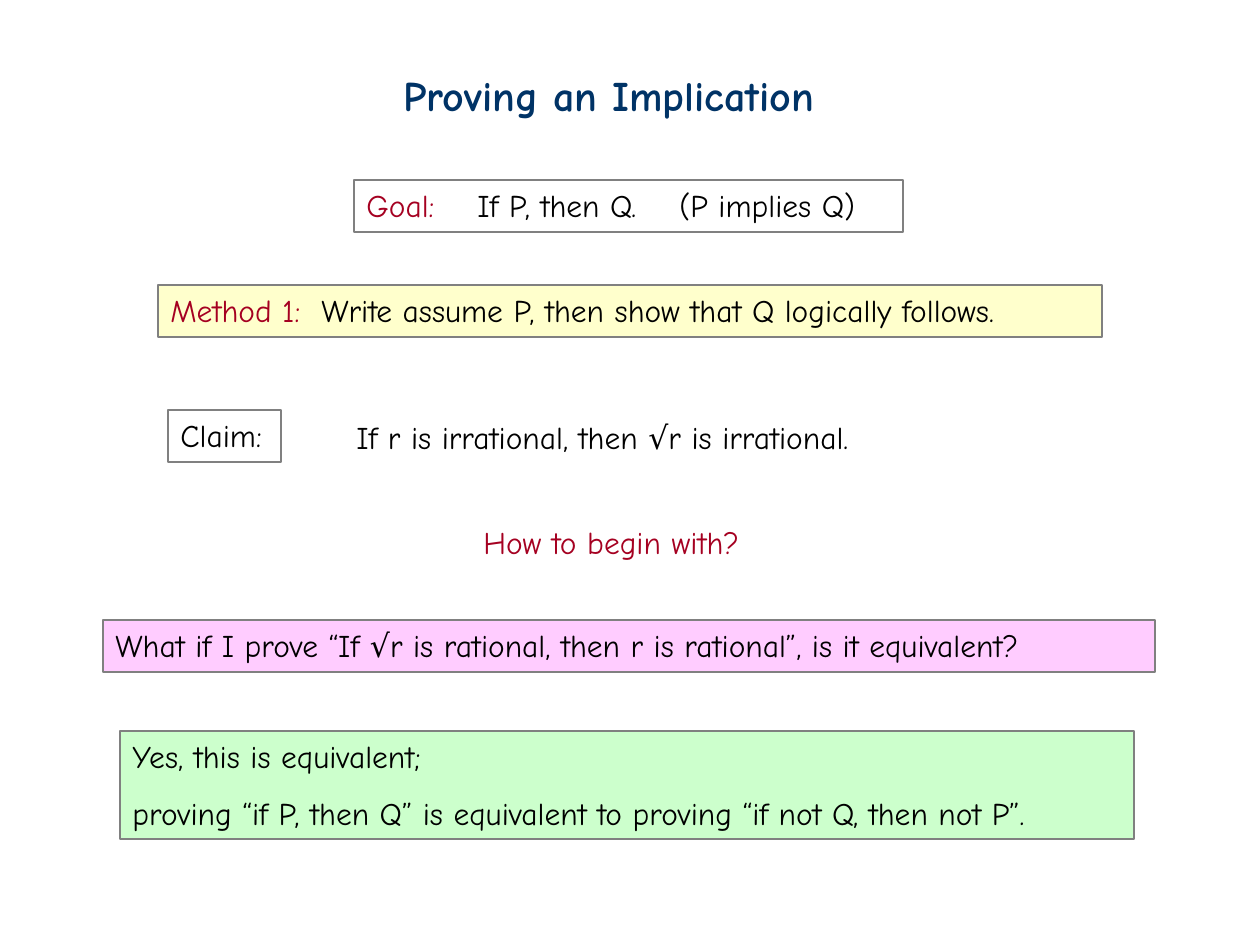
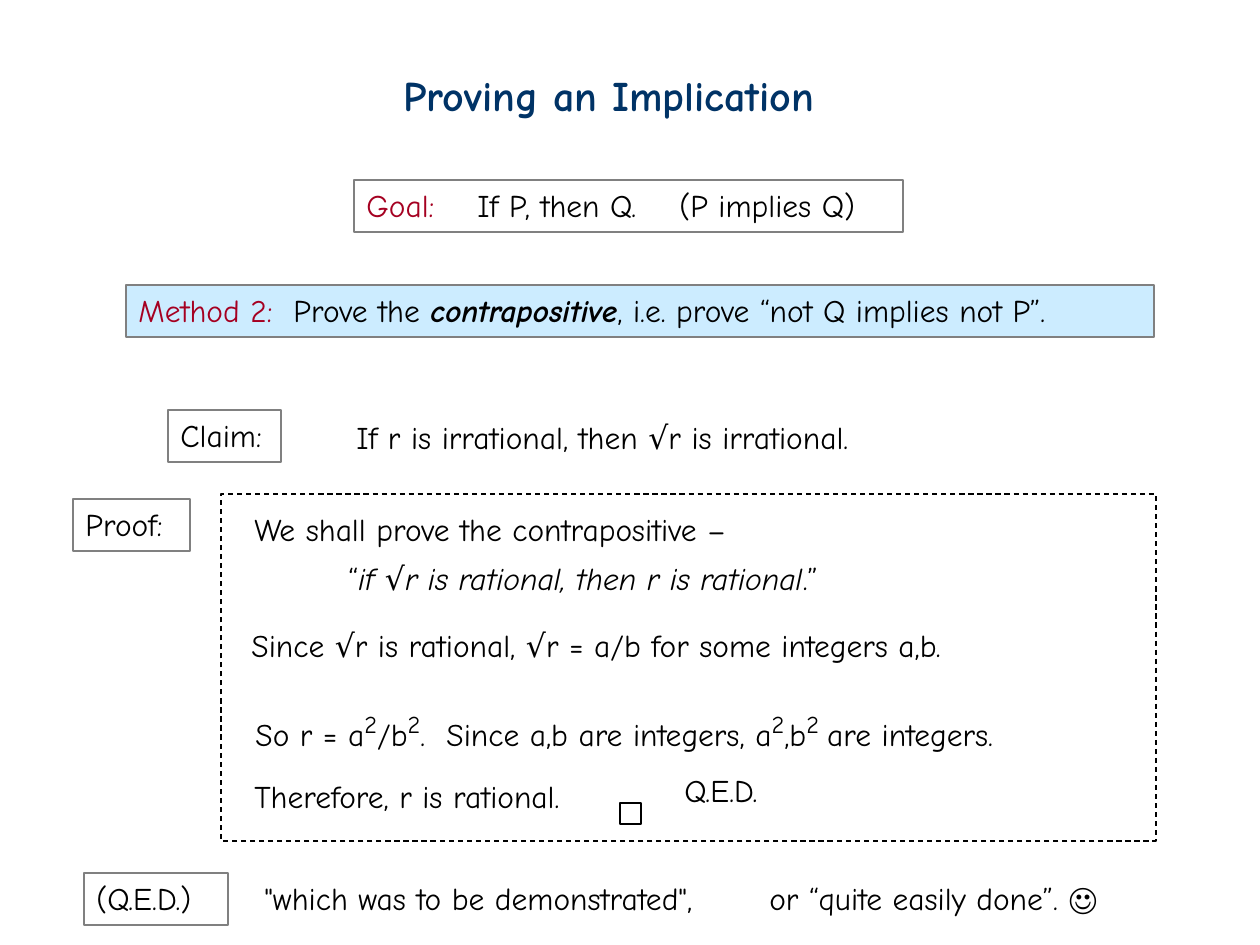
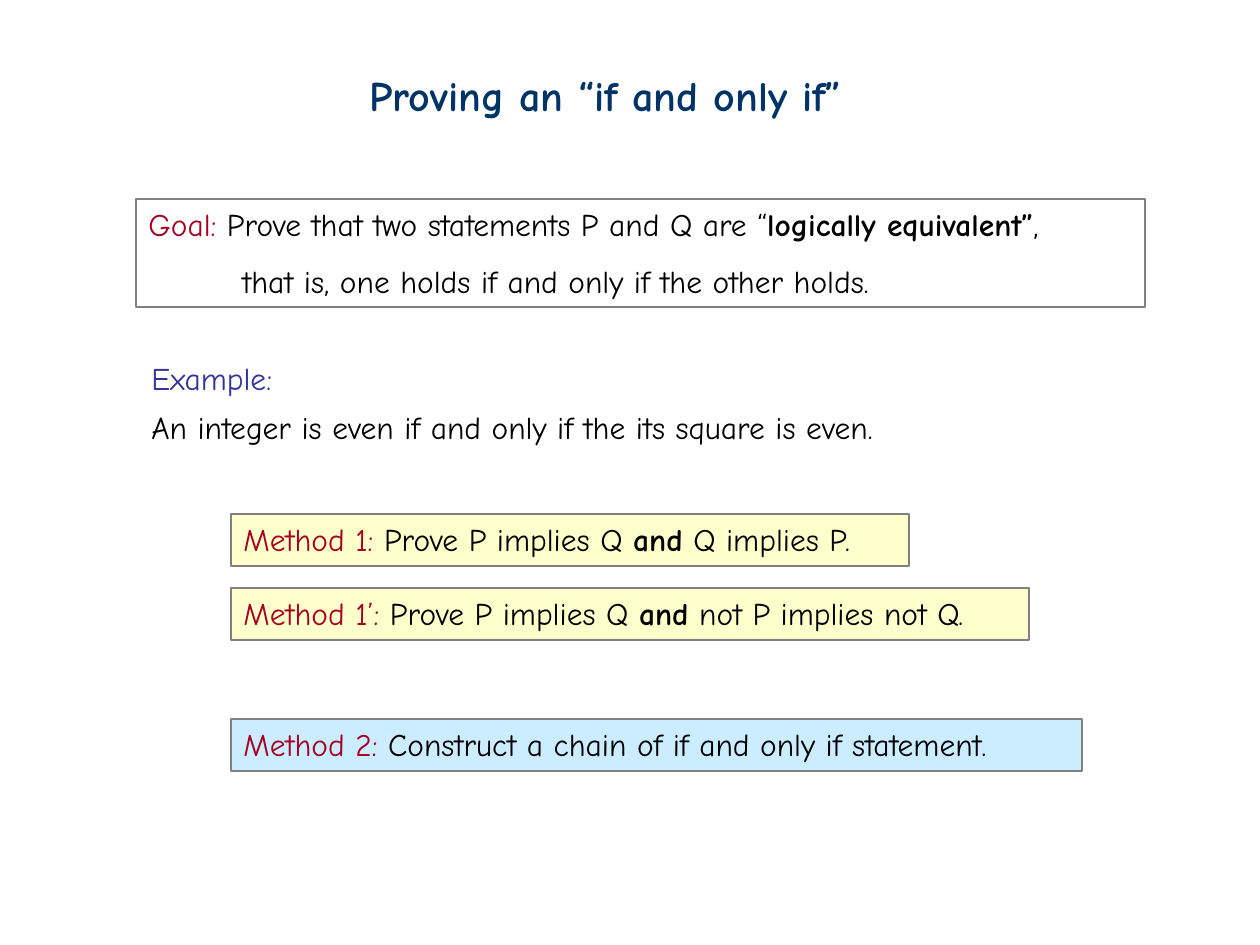
import pptx
import pptx.util
import pptx.dml.color
import pptx.enum.dml
import pptx.enum.shapes
import pptx.enum.text
import lxml.etree

RGB = pptx.dml.color.RGBColor
NAVY = RGB(0x00, 0x33, 0x66)
RED = RGB(0xA5, 0x00, 0x21)
BLUE = RGB(0x33, 0x33, 0x99)
BLACK = RGB(0x00, 0x00, 0x00)
GRAY = RGB(0x80, 0x80, 0x80)
PINK = RGB(0xFF, 0xCC, 0xFF)
GREEN = RGB(0xCC, 0xFF, 0xCC)
CREAM = RGB(0xFF, 0xFF, 0xCC)
SKY = RGB(0xCC, 0xEC, 0xFF)

FONT = "Comic Neue"
SCALE = 914400 / 126
LINE = 52
EXTRA = 56
INDENT = 94
BOLD = {"bold": True}
POWER = {"size": 24, "base": 30}


def px(count):
    return pptx.util.Emu(round(count * SCALE))


def write(para, text, size=18, hue=BLACK, bold=False, ital=False, base=0):
    run = para.add_run()
    run.text = text
    font = run.font
    font.name = FONT
    font.size = pptx.util.Pt(size)
    font.bold = bold
    font.italic = ital
    font.color.rgb = hue
    if base:
        run._r.get_or_add_rPr().set("baseline", str(base * 1000))


def set_tabs(para, tabs):
    space = pptx.oxml.ns.qn
    stops = lxml.etree.SubElement(para._p.get_or_add_pPr(), space("a:tabLst"))
    for stop in tabs:
        lxml.etree.SubElement(stops, space("a:tab"), pos=str(px(stop)), algn="l")


def fill_text(shape, lines, tabs, gap, indent):
    frame = shape.text_frame
    frame.word_wrap = True
    frame.auto_size = pptx.enum.text.MSO_AUTO_SIZE.SHAPE_TO_FIT_TEXT
    frame.vertical_anchor = pptx.enum.text.MSO_ANCHOR.TOP
    for place, line in enumerate(lines):
        para = frame.add_paragraph() if place else frame.paragraphs[0]
        para.alignment = pptx.enum.text.PP_ALIGN.LEFT
        if tabs:
            set_tabs(para, tabs)
        if place:
            para.line_spacing = gap
            if indent:
                para._p.get_or_add_pPr().set("marL", str(px(indent)))
                para._p.get_or_add_pPr().set("indent", "0")
        for text, style in line:
            write(para, text, **style)


def add_rect(slide, left, top, width, height, fill=None, edge=GRAY, dash=False):
    kind = pptx.enum.shapes.MSO_SHAPE.RECTANGLE
    rect = slide.shapes.add_shape(kind, px(left), px(top), px(width), px(height))
    rect.shadow.inherit = False
    if fill is None:
        rect.fill.background()
    else:
        rect.fill.solid()
        rect.fill.fore_color.rgb = fill
    rect.line.color.rgb = edge
    rect.line.width = pptx.util.Pt(0.75)
    if dash:
        rect.line.dash_style = pptx.enum.dml.MSO_LINE.DASH
    return rect


def add_box(slide, left, top, width, *lines, fill=None, tabs=(), indent=0):
    height = LINE + EXTRA * (len(lines) - 1)
    rect = add_rect(slide, left, top, width, height, fill)
    fill_text(rect, lines, tabs, 1.5, indent)


def add_note(slide, left, top, width, *lines, tabs=(), indent=0):
    height = LINE + EXTRA * (len(lines) - 1)
    note = slide.shapes.add_textbox(px(left), px(top), px(width), px(height))
    fill_text(note, lines, tabs, 1.3, indent)


def plain(text, **style):
    return [(text, style)]


def label(head, *rest):
    return [(head, {"hue": RED}), *rest]


def add_page(deck, title, left, width):
    slide = deck.slides.add_slide(deck.slide_layouts[6])
    add_note(slide, left, 63, width, plain(title, size=24, hue=NAVY, bold=True))
    return slide


def add_proof_page(deck):
    slide = add_page(deck, "Proving an Implication", 391, 470)
    add_box(slide, 354, 180, 549,
            label("Goal:", ("\tIf P, then Q.\t(P implies Q)", {})), tabs=(111, 313))
    add_box(slide, 168, 410, 113, plain("Claim:"))
    add_note(slide, 344, 412, 591, plain("If r is irrational, then √r is irrational."))
    return slide


def add_direct(deck):
    slide = add_proof_page(deck)
    add_box(slide, 158, 285, 944,
            label("Method 1:", ("\tWrite assume P, then show that Q logically follows.", {})),
            fill=CREAM, tabs=(151,))
    add_note(slide, 471, 517, 305, plain("How to begin with?", hue=RED))
    add_box(slide, 103, 620, 1052,
            plain("What if I prove “If √r is rational, then r is rational”, is it equivalent?"),
            fill=PINK)
    add_box(slide, 120, 731, 1014,
            plain("Yes, this is equivalent;"),
            plain("proving “if P, then Q” is equivalent to proving “if not Q, then not P”."),
            fill=GREEN)


def add_contra(deck):
    slide = add_proof_page(deck)
    add_box(slide, 126, 285, 1028,
            label("Method 2:", ("\tProve the ", {}),
                  ("contrapositive", {"bold": True, "ital": True}),
                  (", i.e. prove “not Q implies not P”.", {})),
            fill=SKY, tabs=(155,))
    add_box(slide, 73, 499, 117, plain("Proof:"))
    add_rect(slide, 221, 494, 935, 347, edge=BLACK, dash=True)
    add_note(slide, 242, 504, 644,
             plain("We shall prove the contrapositive –"),
             [("“", {}), ("if √r is rational, then r is rational", {"ital": True}), (".”", {})],
             indent=INDENT)
    add_note(slide, 239, 620, 800,
             plain("Since √r is rational, √r = a/b for some integers a,b."))
    add_note(slide, 243, 698, 849,
             [("So r = a", {}), ("2", POWER), ("/b", {}), ("2", POWER),
              (".\tSince a,b are integers, a", {}), ("2", POWER), (",b", {}),
              ("2 ", POWER), ("are integers.", {})],
             tabs=(191,))
    add_note(slide, 242, 771, 377, plain("Therefore, r is rational."))
    add_rect(slide, 620, 803, 21, 21, edge=BLACK)
    add_note(slide, 672, 765, 117, plain("Q.E.D."))
    add_box(slide, 84, 873, 144, plain("(Q.E.D.)"))
    add_note(slide, 252, 873, 517, plain('"which was to be demonstrated",'))
    add_note(slide, 757, 873, 379, plain("or “quite easily done”. ☺"))


def add_equal(deck):
    slide = add_page(deck, "Proving an “if and only if”", 357, 554)
    add_box(slide, 136, 199, 1009,
            label("Goal:", (" Prove that two statements P and Q are “", {}),
                  ("logically equivalent”", BOLD), (",", {})),
            plain("that is, one holds if and only if the other holds."),
            indent=INDENT)
    add_note(slide, 139, 353, 816,
             plain("Example:", hue=BLUE),
             plain("An integer is even if and only if the its square is even."))
    pairs = [
        (514, 678, "Method 1:", " Q implies P."),
        (588, 798, "Method 1’:", " not P implies not Q."),
    ]
    for top, width, head, tail in pairs:
        add_box(slide, 231, top, width,
                label(head, (" Prove P implies Q ", {}), ("and", BOLD), (tail, {})),
                fill=CREAM)
    add_box(slide, 231, 719, 851,
            label("Method 2:", (" Construct a chain of if and only if statement.", {})),
            fill=SKY)


def main():
    deck = pptx.Presentation()
    deck.slide_width = px(1260)
    deck.slide_height = px(945)
    add_direct(deck)
    add_contra(deck)
    add_equal(deck)
    deck.save("out.pptx")


if __name__ == "__main__":
    main()
